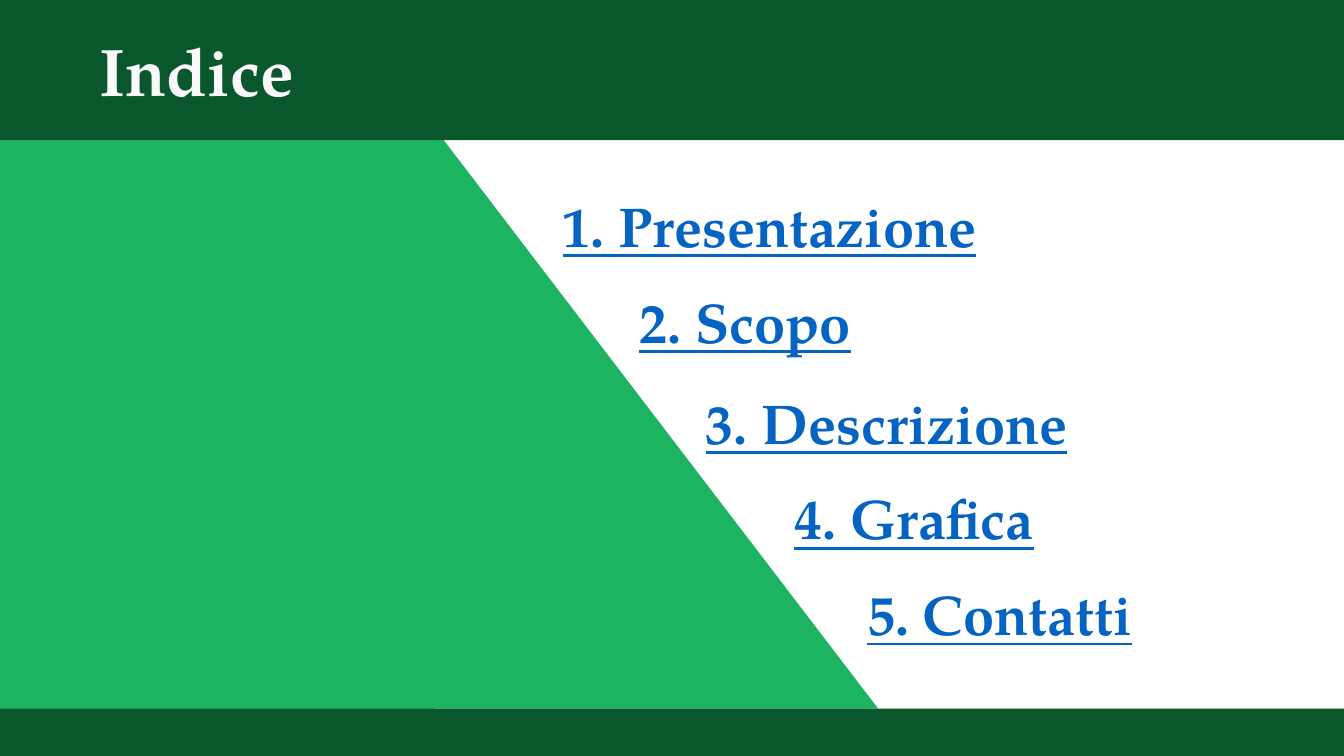
from dataclasses import dataclass

import pptx
import pptx.dml.color
import pptx.enum.shapes
import pptx.enum.text
import pptx.util

Inches = pptx.util.Inches
Shapes = pptx.enum.shapes.MSO_SHAPE


@dataclass(frozen=True)
class Theme:
    font: str = "TeX Gyre Pagella"
    dark_green: str = "0B572D"
    light_green: str = "1CB361"
    title_color: str = "FAFAFA"
    entry_color: str = "0563C1"
    title_size: int = 48
    entry_size: int = 40
    inset: float = 0.13


THEME = Theme()
SLIDE_WIDTH, SLIDE_HEIGHT = 13.33, 7.5
HEADER_HEIGHT = 1.39
FOOTER_TOP = 7.03
ENTRIES = [
    ("1. Presentazione", 5.45, 1.77, 4.59),
    ("2. Scopo", 6.21, 2.72, 2.45),
    ("3. Descrizione", 6.87, 3.72, 4.05),
    ("4. Grafica", 7.75, 4.67, 2.83),
    ("5. Contatti", 8.47, 5.62, 3.13),
]


def add_block(slide, preset, box, color):
    shape = slide.shapes.add_shape(preset, *map(Inches, box))
    shape.shadow.inherit = False
    shape.fill.solid()
    shape.fill.fore_color.rgb = pptx.dml.color.RGBColor.from_string(color)
    shape.line.fill.background()
    return shape


def write_text(shape, text, size, color, alignment, underline=False):
    frame = shape.text_frame
    frame.word_wrap = True
    frame.auto_size = pptx.enum.text.MSO_AUTO_SIZE.NONE
    frame.vertical_anchor = pptx.enum.text.MSO_ANCHOR.TOP
    frame.margin_left = frame.margin_right = Inches(THEME.inset)
    frame.margin_top = frame.margin_bottom = Inches(THEME.inset)
    paragraph = frame.paragraphs[0]
    paragraph.alignment = alignment
    paragraph.line_spacing = 1.0
    paragraph.space_before = pptx.util.Pt(0)
    run = paragraph.add_run()
    run.text = text
    run.font.name = THEME.font
    run.font.size = pptx.util.Pt(size)
    run.font.bold = True
    run.font.underline = underline
    run.font.color.rgb = pptx.dml.color.RGBColor.from_string(color)


def add_green_panel(slide, box):
    left, top, width, height = box
    slope = add_block(slide, Shapes.ISOSCELES_TRIANGLE,
                      (left + 1.87, top - 0.35, width - 1.87, height + 0.35),
                      THEME.light_green)
    slope.adjustments[0] = 0.331
    add_block(slide, Shapes.RECTANGLE,
              (left, top - 0.09, 4.31, height + 0.19), THEME.light_green)


def add_header(slide, box):
    left, top, width, height = box
    add_block(slide, Shapes.RECTANGLE, box, THEME.dark_green)
    title = slide.shapes.title
    title.left, title.top = Inches(left + 0.73), Inches(top + 0.16)
    title.width, title.height = Inches(2.44), Inches(1.08)
    write_text(title, "Indice", THEME.title_size, THEME.title_color,
               pptx.enum.text.PP_ALIGN.CENTER)
    title.element.getparent().append(title.element)


def add_entry(slide, text, box):
    entry = slide.shapes.add_textbox(*map(Inches, box))
    write_text(entry, text, THEME.entry_size, THEME.entry_color,
               pptx.enum.text.PP_ALIGN.LEFT, underline=True)


def build_index_slide(presentation):
    slide = presentation.slides.add_slide(presentation.slide_layouts[5])
    add_green_panel(slide, (0, HEADER_HEIGHT, 8.71, FOOTER_TOP - HEADER_HEIGHT))
    add_block(slide, Shapes.RECTANGLE,
              (0, FOOTER_TOP, SLIDE_WIDTH, SLIDE_HEIGHT - FOOTER_TOP),
              THEME.dark_green)
    add_header(slide, (0, 0, SLIDE_WIDTH, HEADER_HEIGHT))
    for text, left, top, width in ENTRIES:
        add_entry(slide, text, (left, top, width, 0.94))


def main():
    presentation = pptx.Presentation()
    presentation.slide_width = Inches(SLIDE_WIDTH)
    presentation.slide_height = Inches(SLIDE_HEIGHT)
    build_index_slide(presentation)
    presentation.save("out.pptx")


if __name__ == "__main__":
    main()
